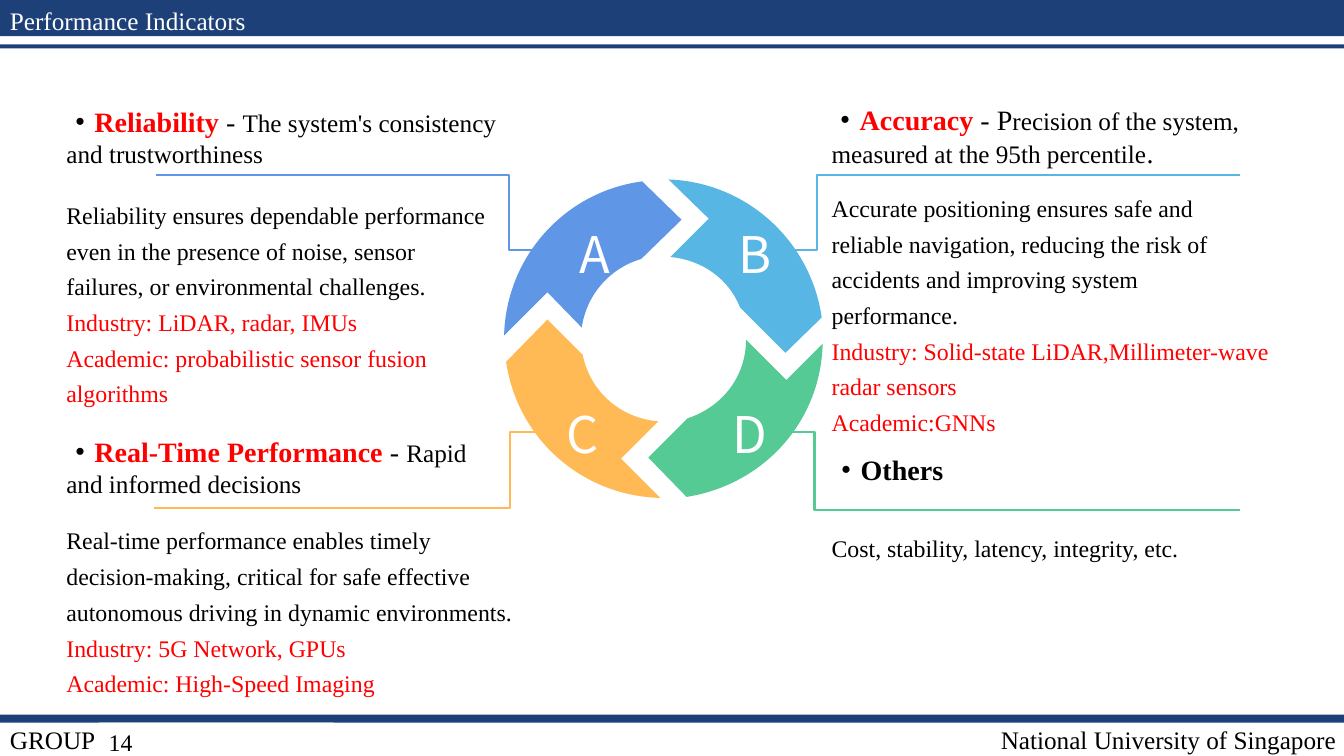
from pptx import Presentation
from pptx.dml.color import RGBColor
from pptx.enum.lang import MSO_LANGUAGE_ID
from pptx.enum.shapes import MSO_CONNECTOR, MSO_SHAPE
from pptx.enum.text import MSO_ANCHOR, PP_ALIGN
from pptx.util import Inches, Pt
from lxml.etree import SubElement
from pptx.oxml.ns import qn

NAVY, BLACK, RED, WHITE = "1E4079", "000000", "FF0000", "FFFFFF"
BLUE, SKY, ORANGE, GREEN = "6096E6", "58B6E5", "FFBA55", "56CA95"
SERIF, CJK = "Times New Roman", "Noto Sans CJK SC"

deck = Presentation()
deck.slide_width, deck.slide_height = Inches(13.33), Inches(7.5)
slide = deck.slides.add_slide(deck.slide_layouts[6])
shapes = slide.shapes


def paint(shape, color):
    shape.shadow.inherit = False
    shape.fill.solid()
    shape.fill.fore_color.rgb = RGBColor.from_string(color)
    shape.line.fill.background()


def add_text(paragraphs, box, size=18, color=BLACK, font=SERIF, align=PP_ALIGN.LEFT,
             anchor=MSO_ANCHOR.TOP, line_spacing=None, tracking=None, bottom=0.05, fill=None):
    if fill:
        holder = shapes.add_shape(MSO_SHAPE.RECTANGLE, *map(Inches, box))
        paint(holder, fill)
    else:
        holder = shapes.add_textbox(*map(Inches, box))
    frame = holder.text_frame
    frame.word_wrap = True
    frame.vertical_anchor = anchor
    frame.margin_bottom = Inches(bottom)
    for index, pieces in enumerate(paragraphs):
        paragraph = frame.paragraphs[0] if index == 0 else frame.add_paragraph()
        paragraph.alignment = align
        if line_spacing:
            paragraph.line_spacing = line_spacing
        for words, changes in pieces:
            style = {"size": size, "color": color, "font": font, "bold": False, **changes}
            run = paragraph.add_run()
            run.text = words
            run.font.size = Pt(style["size"])
            run.font.bold = style["bold"]
            run.font.name = style["font"]
            run.font.color.rgb = RGBColor.from_string(style["color"])
            properties = run.font._element
            SubElement(properties, qn("a:ea")).set("typeface", style["font"])
            if style["font"] == CJK:
                run.font.language_id = MSO_LANGUAGE_ID.SIMPLIFIED_CHINESE
            if tracking:
                properties.set("spc", str(tracking * 100))


add_text([[("National University of Singapore", {})]], (4.11, 7.14, 9.24, 0.36),
         align=PP_ALIGN.RIGHT)

bars = [
    (MSO_SHAPE.ROUNDED_RECTANGLE, -0.17, 0, 13.7, 0.36),
    (MSO_SHAPE.ROUNDED_RECTANGLE, -0.15, 0.44, 13.7, 0.04),
    (MSO_SHAPE.RECTANGLE, 0, 7.09, 13.35, 0.08),
]
for outline, *box in bars:
    bar = shapes.add_shape(outline, *map(Inches, box))
    paint(bar, NAVY)
    if outline == MSO_SHAPE.ROUNDED_RECTANGLE:
        bar.adjustments[0] = 0.5

add_text([[("GROUP", {})]], (0, 7.14, 4.44, 0.4))

headings = [
    ("Reliability", RED, (0.56, 0.88, 4.49, 0.84), MSO_ANCHOR.BOTTOM,
     [(" - ", 20), ("The system's consistency and trustworthiness", 18)]),
    ("Accuracy", RED, (8.15, 0.88, 4.79, 0.85), MSO_ANCHOR.BOTTOM,
     [(" - P", 20), ("recision of the system, measured at the 95th percentile", 18), (".", 20)]),
    ("Real-Time Performance", RED, (0.56, 4.27, 4.44, 0.72), MSO_ANCHOR.BOTTOM,
     [(" - ", 20), ("Rapid and informed decisions", 18)]),
    ("Others", BLACK, (8.16, 4.44, 1.92, 0.44), MSO_ANCHOR.TOP, []),
]
for indicator, color, box, anchor, definition in headings:
    pieces = [("·", {"font": CJK, "bold": True}), (indicator, {"color": color, "bold": True})]
    pieces += [(words, {"size": size}) for words, size in definition]
    add_text([pieces], box, size=20, anchor=anchor)

details = [
    ((0.56, 1.87, 4.46, 1.14),
     "Reliability ensures dependable performance even in the presence of noise, sensor failures, "
     "or environmental challenges.",
     ["Industry: LiDAR, radar, IMUs", "Academic: probabilistic sensor fusion algorithms"]),
    ((8.15, 1.8, 4.54, 1.5),
     "Accurate positioning ensures safe and reliable navigation, reducing the risk of accidents "
     "and improving system performance.",
     ["Industry: Solid-state LiDAR,Millimeter-wave radar sensors", "Academic:GNNs"]),
    ((0.56, 5.1, 4.72, 1.37),
     "Real-time performance enables timely decision-making, critical for safe effective "
     "autonomous driving in dynamic environments.",
     ["Industry: 5G Network, GPUs", "Academic: High-Speed Imaging"]),
    ((8.15, 5.17, 4.54, 0.57), "Cost, stability, latency, integrity, etc.", []),
]
for box, explanation, examples in details:
    paragraphs = [[(explanation, {})]] + [[(example, {"color": RED})] for example in examples]
    add_text(paragraphs, box, size=17, line_spacing=1.25)

leaders = [
    (BLUE, 1.55, 1.74, 5.05, 5.59, 2.48),
    (ORANGE, 1.53, 5.04, 5.06, 5.59, 4.29),
    (GREEN, 12.3, 5.06, 8.08, 7.53, 4.29),
    (SKY, 12.3, 1.74, 8.1, 7.53, 2.48),
]
for color, start_x, start_y, bend_x, end_x, end_y in leaders:
    leader = shapes.add_connector(MSO_CONNECTOR.ELBOW,
                                  *map(Inches, (start_x, start_y, end_x, end_y)))
    leader.line.color.rgb = RGBColor.from_string(color)
    leader.line.width = Pt(1.5)
    bend = round((bend_x - start_x) / (end_x - start_x) * 100000)
    properties = leader._element.spPr
    guide = SubElement(properties.find(qn("a:prstGeom")).find(qn("a:avLst")), qn("a:gd"))
    guide.set("name", "adj1")
    guide.set("fmla", f"val {bend}")
    SubElement(properties, qn("a:effectLst"))

segments = [
    (GREEN,
     [(7.4, 3.37), (7.8, 3.77), (8.16, 3.41), (8.14, 4.19, 7.57, 4.81, 6.81, 4.93),
      (6.43, 4.54), (6.82, 4.15), (7.16, 4.04, 7.4, 3.74, 7.4, 3.37)]),
    (SKY,
     [(6.63, 1.78), (7.41, 1.81, 8.04, 2.39, 8.15, 3.15), (7.79, 3.5), (7.34, 3.05),
      (7.23, 2.77, 6.97, 2.58, 6.65, 2.55), (7.03, 2.17)]),
    (BLUE,
     [(6.37, 1.8), (6.76, 2.18), (6.36, 2.57), (6.05, 2.66, 5.82, 2.92, 5.77, 3.25),
      (5.43, 2.9), (5, 3.33), (5.02, 2.54, 5.61, 1.9, 6.37, 1.8)]),
    (ORANGE,
     [(5.43, 3.17), (5.78, 3.52), (5.85, 3.88, 6.15, 4.15, 6.53, 4.18), (6.16, 4.55),
      (6.55, 4.94), (5.77, 4.92, 5.13, 4.35, 5.02, 3.59)]),
]
for color, outline in segments:
    points = [tuple(map(Inches, part[i:i + 2])) for part in outline for i in range(0, len(part), 2)]
    builder = shapes.build_freeform(*points[0])
    builder.add_line_segments(points[1:], close=True)
    segment = builder.convert_to_shape()
    paint(segment, color)
    steps = iter(list(segment._element.iter(qn("a:lnTo"))))
    for part in outline[1:]:
        first = next(steps)
        if len(part) == 6:
            curve = SubElement(first.getparent(), qn("a:cubicBezTo"))
            first.addprevious(curve)
            for step in (first, next(steps), next(steps)):
                curve.append(step[0])
                step.getparent().remove(step)

letters = [("A", 5.65, 2.16), ("B", 7.23, 2.16), ("C", 5.52, 3.95), ("D", 7.17, 3.95)]
for letter, left, top in letters:
    add_text([[(letter, {})]], (left, top, 0.44, 0.59), size=36, color=WHITE, font=CJK,
             align=PP_ALIGN.CENTER, tracking=3, bottom=0)

add_text([[("Performance Indicators", {})]], (0, 0, 3.31, 0.4), color=WHITE)
add_text([[("14", {})]], (0.98, 7.17, 2.33, 0.33), size=17, fill=WHITE)

deck.save("out.pptx")
